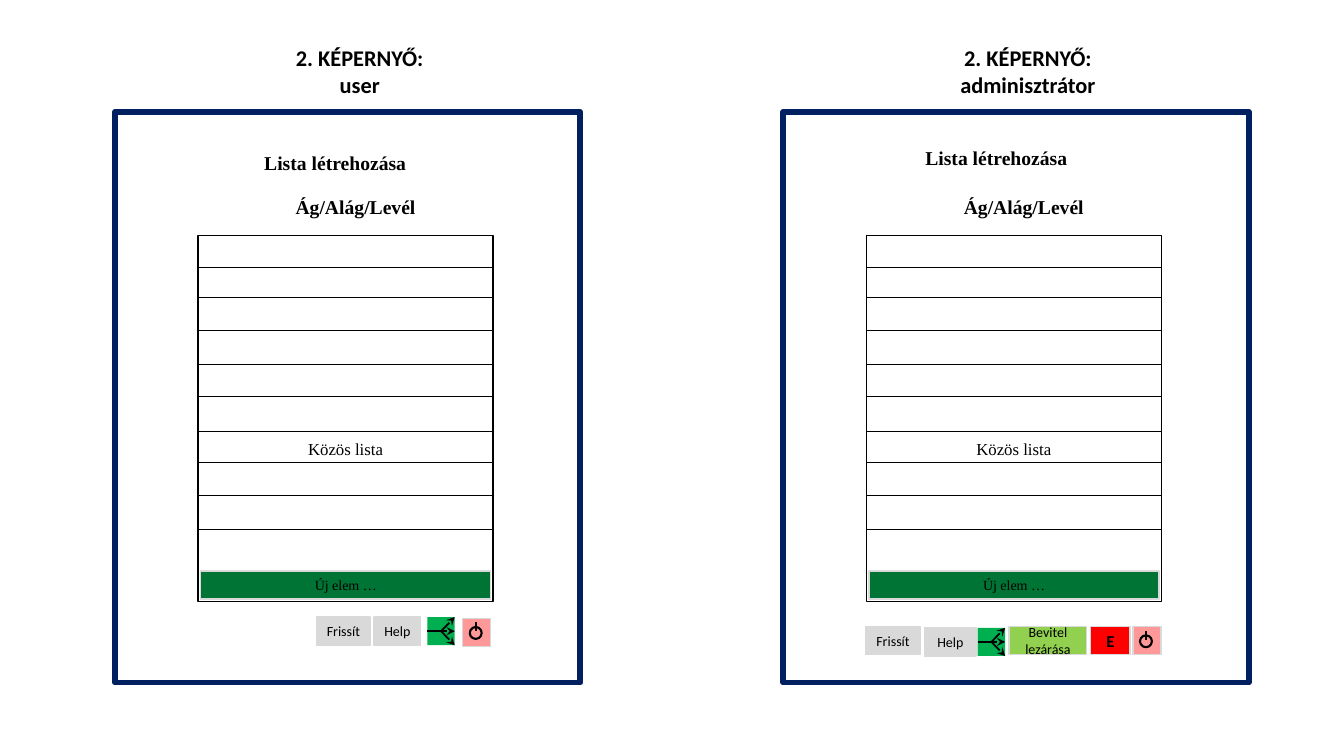
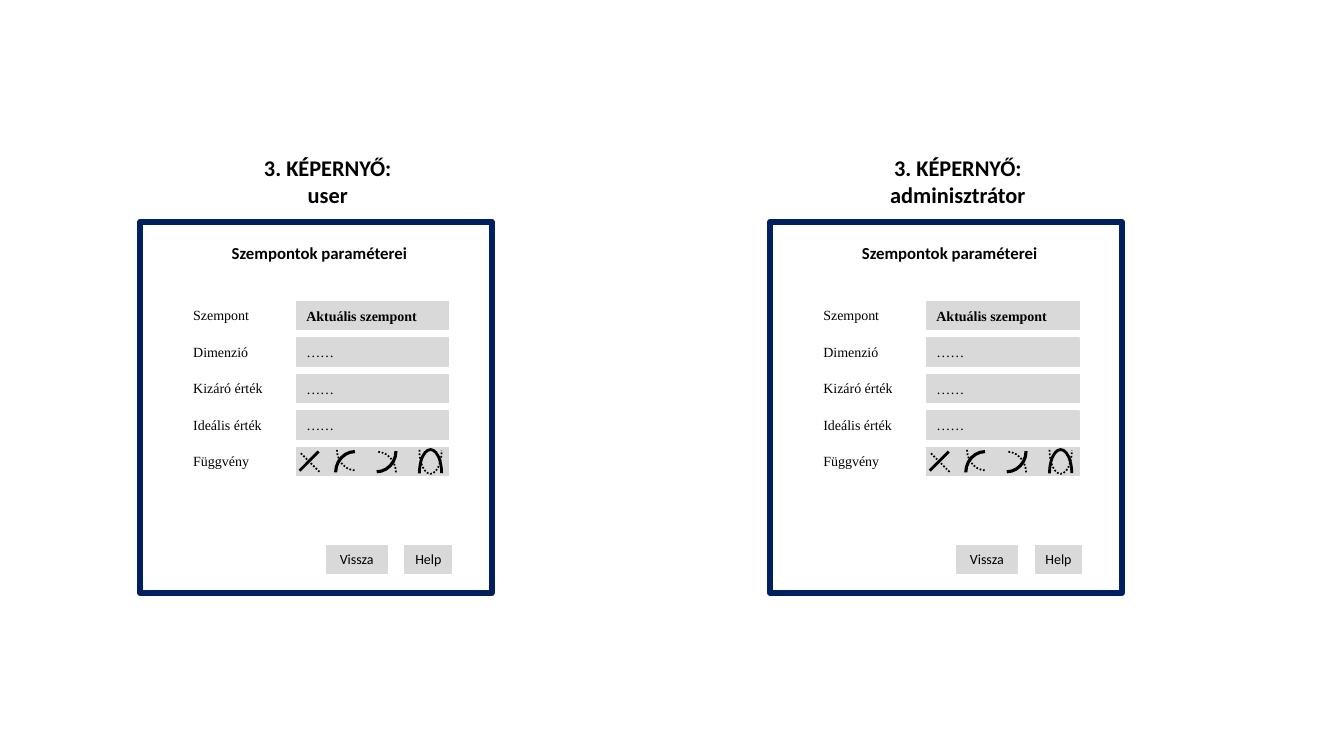
from dataclasses import dataclass

from lxml import etree
from pptx import Presentation
from pptx.dml.color import RGBColor
from pptx.enum.dml import MSO_LINE
from pptx.enum.shapes import MSO_CONNECTOR, MSO_SHAPE
from pptx.enum.text import MSO_ANCHOR, MSO_AUTO_SIZE, PP_ALIGN
from pptx.oxml.ns import qn
from pptx.util import Cm, Pt

RECTANGLE, OVAL, ARC = MSO_SHAPE.RECTANGLE, MSO_SHAPE.OVAL, MSO_SHAPE.ARC
STRAIGHT = MSO_CONNECTOR.STRAIGHT
DOTTED = MSO_LINE.ROUND_DOT
LEFT, CENTER = PP_ALIGN.LEFT, PP_ALIGN.CENTER
TOP, MIDDLE = MSO_ANCHOR.TOP, MSO_ANCHOR.MIDDLE
NO_AUTOSIZE = MSO_AUTO_SIZE.NONE
TITLE_ONLY = 5


@dataclass(frozen=True)
class Theme:
    """Colours, fonts and type sizes shared by the slides."""
    ink: str = "000000"
    frame: str = "002060"
    grey: str = "D9D9D9"
    new_item: str = "007434"
    branch: str = "00B050"
    finish: str = "92D050"
    alert: str = "FF0000"
    power: str = "FF9999"
    sans: str = "Calibri"
    serif: str = "Times New Roman"
    title: int = 16
    heading: int = 14
    subheading: int = 12
    small: int = 10


THEME = Theme()


@dataclass(frozen=True)
class Box:
    """A rectangle in centimetres."""
    left: float
    top: float
    width: float
    height: float

    def inner(self, left, top, width, height):
        """Return a box placed relative to this one."""
        return Box(self.left + left, self.top + top, width, height)

    def lengths(self):
        """Return the four lengths for python-pptx."""
        return Cm(self.left), Cm(self.top), Cm(self.width), Cm(self.height)


def write(shape, lines, font, size, bold=False, align=LEFT, anchor=TOP, wrap=False):
    """Fill a shape with evenly formatted paragraphs."""
    frame = shape.text_frame
    frame.auto_size = NO_AUTOSIZE
    frame.word_wrap = wrap
    frame.vertical_anchor = anchor
    frame.text = "\n".join(lines)
    for para in frame.paragraphs:
        para.alignment = align
        para.font.name = font
        para.font.size = Pt(size)
        para.font.bold = bold
        para.font.color.rgb = RGBColor.from_string(THEME.ink)


def label(page, box, text, font, size, bold=False):
    """Add a single line of free text."""
    write(page.shapes.add_textbox(*box.lengths()), [text], font, size, bold)


def outline(line, color, width, dash=None):
    """Set colour, width and dash of a line."""
    line.color.rgb = RGBColor.from_string(color)
    line.width = Pt(width)
    if dash is not None:
        line.dash_style = dash


def draw(page, kind, box, fill=None, line=None, width=1, dash=None):
    """Add a preset shape without shadow."""
    shape = page.shapes.add_shape(kind, *box.lengths())
    shape.shadow.inherit = False
    if fill:
        shape.fill.solid()
        shape.fill.fore_color.rgb = RGBColor.from_string(fill)
    else:
        shape.fill.background()
    if line:
        outline(shape.line, line, width, dash)
    else:
        shape.line.fill.background()
    return shape


def stroke(page, box, start, end, width, dash=None, arrow=False):
    """Add a straight line between two points of a box."""
    line = page.shapes.add_connector(
        STRAIGHT, Cm(box.left + start[0]), Cm(box.top + start[1]),
        Cm(box.left + end[0]), Cm(box.top + end[1]))
    outline(line.line, THEME.ink, width, dash)
    properties = line.element.spPr
    if arrow:
        etree.SubElement(properties.find(qn("a:ln")), qn("a:tailEnd"), type="stealth")
    etree.SubElement(properties, qn("a:effectLst"))


def curve(page, box, angles, width, dash=None, flips=""):
    """Add an arc, mirrored along the axes named in flips."""
    arc = draw(page, ARC, box, line=THEME.ink, width=width, dash=dash)
    for index, angle in enumerate(angles):
        arc.adjustments[index] = angle
    for axis in flips:
        arc.element.spPr.find(qn("a:xfrm")).set("flip" + axis, "1")


def button(page, box, text, fill=THEME.grey, size=THEME.small, bold=False):
    """Add a push button with a centred caption."""
    shape = draw(page, RECTANGLE, box, fill, THEME.grey)
    write(shape, [text], THEME.sans, size, bold, CENTER, MIDDLE, wrap=True)
    shape.text_frame.margin_left = shape.text_frame.margin_right = Cm(0.1)


def power_button(page, box):
    """Add the button with the power sign."""
    draw(page, RECTANGLE, box, THEME.power, THEME.grey)
    draw(page, OVAL, box.inner(0.18, 0.22, 0.3, 0.3), line=THEME.ink, width=1.5)
    stroke(page, box, (0.33, 0.1), (0.33, 0.33), 1.5)


def branch_button(page, box):
    """Add the button with three spreading arrows."""
    draw(page, RECTANGLE, box, THEME.branch)
    middle = box.height / 2
    for start, height in ((box.width / 2, 0), (0, middle), (box.width / 2, box.height)):
        stroke(page, box, (start, middle), (box.width, height), 1.25, arrow=True)


def screen(page, box, number, role, title=None):
    """Add a screen frame and the title above it."""
    draw(page, RECTANGLE, box, line=THEME.frame, width=4.25)
    width, height = 4, 1.63
    area = box.inner((box.width - width) / 2 + 0.3, -height - 0.2, width, height)
    if title is None:
        title = page.shapes.add_textbox(*area.lengths())
    else:
        title.left, title.top, title.width, title.height = area.lengths()
    write(title, [f"{number}. KÉPERNYŐ:", role], THEME.sans, THEME.title, True, CENTER)


def common_list(page, box):
    """Add the ruled list with its new item bar."""
    for height in (0.79, 1.55, 2.39, 3.23, 4.06, 4.93, 5.72, 6.55, 7.39):
        stroke(page, box, (0, height), (box.width, height), 0.5)
    body = draw(page, RECTANGLE, box, line=THEME.ink)
    write(body, ["Közös lista"], THEME.serif, THEME.subheading,
          align=CENTER, anchor=MIDDLE, wrap=True)
    body.text_frame.margin_top = Cm(1.65)
    bar = draw(page, RECTANGLE, box.inner(0.07, 8.45, 7.31, 0.71),
               THEME.new_item, THEME.grey)
    write(bar, ["Új elem …"], THEME.serif, THEME.small,
          align=CENTER, anchor=MIDDLE, wrap=True)


def list_screen(page, box, role, heading_at, title=None):
    """Add the screen that creates a list."""
    screen(page, box, 2, role, title)
    label(page, box.inner(*heading_at, 4.11, 0.86), "Lista létrehozása",
          THEME.serif, THEME.heading, True)
    label(page, box.inner(4.3, 1.96, 3.56, 0.86), "Ág/Alág/Levél",
          THEME.serif, THEME.heading, True)
    common_list(page, box.inner(2.09, 3.12, 7.44, 9.22))


def user_buttons(page, bar):
    """Add the user's button row."""
    button(page, bar.inner(5.08, 0, 1.35, bar.height), "Frissít")
    button(page, bar.inner(6.53, 0, 1.17, bar.height), "Help")
    branch_button(page, bar.inner(7.87, 0, 0.69, bar.height))
    power_button(page, bar.inner(8.76, 0.03, 0.71, bar.height))


def administrator_buttons(page, bar):
    """Add the administrator's button row."""
    button(page, bar.inner(2.08, 0, 1.37, bar.height), "Frissít")
    button(page, bar.inner(3.56, 0.03, 1.3, bar.height), "Help")
    branch_button(page, bar.inner(4.9, 0.03, 0.69, bar.height))
    button(page, bar.inner(5.69, 0, 1.96, bar.height), "Bevitel lezárása", THEME.finish)
    button(page, bar.inner(7.75, 0, 0.99, bar.height), "E", THEME.alert,
           THEME.subheading, True)
    power_button(page, bar.inner(8.81, 0, 0.71, bar.height))


def function_signs(page, box):
    """Add the four function curves inside a field."""
    stroke(page, box, (0.08, 0.58), (0.56, 0.1), 2)
    stroke(page, box, (0.58, 0.61), (0.1, 0.13), 1.25, DOTTED)
    quarter, half = (107.823, 161.323), (107.323, 215.621)
    for left, top, angles, width, dash, flips in (
            (0.99, 0.1, quarter, 2.25, None, ""),
            (1.02, -0.46, quarter, 1.25, DOTTED, "V"),
            (1.52, 0.1, quarter, 1.25, DOTTED, "H"),
            (1.52, -0.43, quarter, 2.25, None, "HV"),
            (3.1, 0.05, half, 2, None, ""),
            (3.1, -0.53, half, 1.25, DOTTED, "V")):
        size = (0.99, 1.04) if angles == quarter else (0.56, 1.19)
        curve(page, box.inner(left, top, *size), angles, width, dash, flips)


def parameter_screen(page, box, role, title=None):
    """Add the screen with the parameters of a criterion."""
    screen(page, box, 3, role, title)
    label(page, box.inner(2.06, 0.41, 4.98, 0.76), "Szempontok paraméterei",
          THEME.sans, THEME.subheading, True)
    rows = (("Szempont", "Aktuális szempont"), ("Dimenzió", "……"),
            ("Kizáró érték", "……"), ("Ideális érték", "……"), ("Függvény", None))
    for index, (name, value) in enumerate(rows):
        top = 2.01 + index * 0.92
        label(page, box.inner(1.09, top, 2.29, 0.69), name, THEME.serif, THEME.small)
        area = box.inner(3.94, top, 3.84, 0.71)
        field = draw(page, RECTANGLE, area, THEME.grey, THEME.grey)
        if value:
            write(field, [value], THEME.serif, THEME.small, index == 0,
                  anchor=MIDDLE, wrap=True)
        else:
            function_signs(page, area)
    button(page, box.inner(4.7, 8.15, 1.52, 0.71), "Vissza")
    button(page, box.inner(6.68, 8.15, 1.17, 0.71), "Help")


def list_page(page):
    """Build the slide with both list screens."""
    user = Box(2.9, 2.82, 11.73, 14.38)
    administrator = Box(19.74, 2.82, 11.73, 14.38)
    list_screen(page, user, "user", (3.51, 0.86), page.shapes.title)
    user_buttons(page, user.inner(0, 12.73, user.width, 0.71))
    list_screen(page, administrator, "adminisztrátor", (3.33, 0.74))
    administrator_buttons(page, administrator.inner(0, 12.97, administrator.width, 0.71))


def parameter_page(page):
    """Build the slide with both parameter screens."""
    parameter_screen(page, Box(3.53, 5.59, 8.86, 9.35), "user", page.shapes.title)
    parameter_screen(page, Box(19.41, 5.59, 8.86, 9.35), "adminisztrátor")


def main():
    """Build and save the deck."""
    deck = Presentation()
    deck.slide_width, deck.slide_height = Cm(33.87), Cm(19.05)
    for build in (list_page, parameter_page):
        build(deck.slides.add_slide(deck.slide_layouts[TITLE_ONLY]))
    deck.save("out.pptx")


if __name__ == "__main__":
    main()
